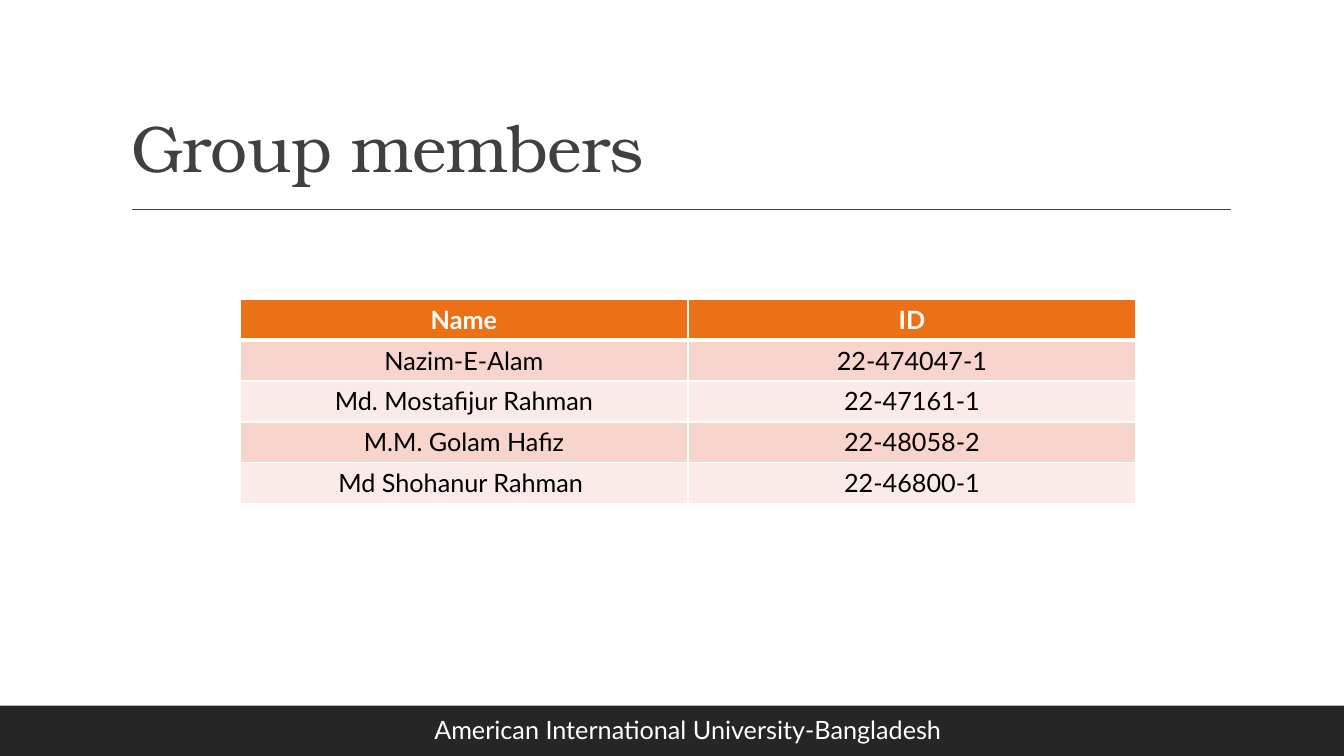
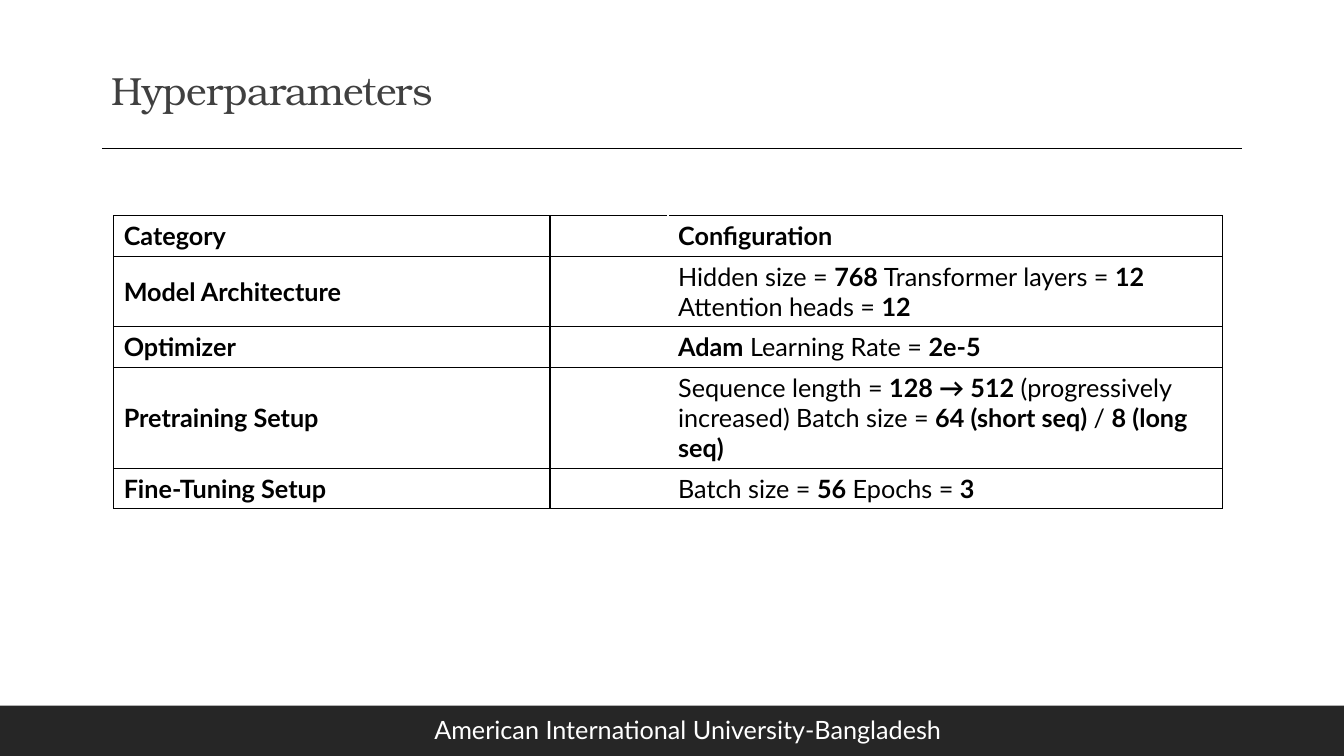
from dataclasses import dataclass
from lxml.etree import SubElement
from pptx import Presentation
from pptx.dml.color import RGBColor as RGB
from pptx.enum.shapes import MSO_CONNECTOR as Link, MSO_SHAPE as Shape
from pptx.enum.text import MSO_ANCHOR as Anchor, MSO_AUTO_SIZE as Fit, PP_ALIGN as Align
from pptx.oxml.ns import qn
from pptx.util import Pt

# Content: text between asterisks is bold
FOOTER = "American International University-Bangladesh"
MEMBERS = [
    ("*Name*", "*ID*"),
    ("Nazim-E-Alam", "22-474047-1"),
    ("Md. Mostafijur Rahman", "22-47161-1"),
    ("M.M. Golam Hafiz", "22-48058-2"),
    ("Md Shohanur Rahman ", "22-46800-1"),
]
PARAMS = [
    ("*Category*", "*Configuration*"),
    ("*Model Architecture*",
     "Hidden size = *768* Transformer layers = *12* Attention heads = *12*"),
    ("*Optimizer*", "*Adam* Learning Rate = *2e-5*"),
    ("*Pretraining Setup*",
     "Sequence length = *128 → 512* (progressively increased) "
     "Batch size = *64 (short seq)* / *8 (long seq)*"),
    ("*Fine-Tuning Setup*", "Batch size = *56* Epochs = *3*"),
]


@dataclass(frozen=True)
class Theme:
    serif: str = "TeX Gyre Bonum"
    sans: str = "Lato"
    white: str = "FFFFFF"
    black: str = "000000"
    band: str = "262626"
    gray: str = "404040"
    accent: str = "EC7016"
    tints: tuple = ("FBEBE8", "F8D5CC")
    large: float = 47
    small: float = 28
    body: float = 18


T = Theme()
WIDE, HIGH = 960, 540


def style(para, face, size, color, align=Align.LEFT):
    para.alignment = align
    font = para.font
    font.name, font.size = face, Pt(size)
    font.color.rgb = RGB.from_string(color)


def line(slide, x1, y1, x2, y2, color):
    rule = slide.shapes.add_connector(Link.STRAIGHT, Pt(x1), Pt(y1), Pt(x2), Pt(y2))
    rule.line.color.rgb = RGB.from_string(color)
    rule.line.width = Pt(1)
    SubElement(rule._element.spPr, qn("a:effectLst"))


def start(deck, text, left, top, size):
    """Add a slide with the shared band, footer and title."""
    slide = deck.slides.add_slide(deck.slide_layouts[5])
    band = slide.shapes.add_shape(Shape.RECTANGLE, 0, Pt(504), Pt(WIDE), Pt(36))
    band.shadow.inherit = False
    band.fill.solid()
    band.fill.fore_color.rgb = RGB.from_string(T.band)
    band.line.fill.background()

    foot = slide.shapes.add_textbox(Pt(251.3), Pt(507), Pt(480), Pt(29)).text_frame
    foot.word_wrap = True
    foot.text = FOOTER
    style(foot.paragraphs[0], T.sans, T.body, T.white, Align.CENTER)

    title = slide.shapes.title
    title.left, title.top, title.width, title.height = map(Pt, (left, top, 792, 114.5))
    frame = title.text_frame
    frame.text = text
    frame.auto_size, frame.vertical_anchor = Fit.NONE, Anchor.BOTTOM
    para = frame.paragraphs[0]
    para.line_spacing = 0.9
    style(para, T.serif, size, T.gray)
    para._p.pPr.find(qn("a:defRPr")).set("spc", "-50")
    return slide


def edge(cell, sides, color):
    """Draw cell borders; sides maps L, R, T, B to widths in points."""
    props = cell._tc.get_or_add_tcPr()
    for side in "LRTB":
        if side in sides:
            ln = SubElement(props, qn("a:ln" + side), w=str(Pt(sides[side])))
            fill = SubElement(ln, qn("a:solidFill"))
            SubElement(fill, qn("a:srgbClr"), val=color)


def table(slide, rows, left, top, width, highs, look):
    """Fill a table; look(row, col) gives fill, ink, border, sides, align, anchor."""
    cols = len(rows[0])
    grid = slide.shapes.add_table(len(rows), cols, Pt(left), Pt(top),
                                  Pt(width), Pt(sum(highs))).table
    grid.first_row = grid.horz_banding = False
    for r, (row, high) in enumerate(zip(rows, highs)):
        grid.rows[r].height = Pt(high)
        for c, text in enumerate(row):
            cell = grid.cell(r, c)
            fill, ink, border, sides, align, anchor = look(r, c)
            edge(cell, sides, border)
            cell.fill.solid()
            cell.fill.fore_color.rgb = RGB.from_string(fill)
            cell.vertical_anchor = anchor
            para = cell.text_frame.paragraphs[0]
            for i, part in enumerate(text.split("*")):
                if part:
                    run = para.add_run()
                    run.text = part
                    run.font.bold = i % 2 == 1
            style(para, T.sans, T.body, ink, align)


def banded(r, c):
    sides = dict(L=1, R=1, T=3 if r == 1 else 1, B=3 if r == 0 else 1)
    fill, ink = (T.tints[r % 2], T.black) if r else (T.accent, T.white)
    return fill, ink, T.white, sides, Align.CENTER, Anchor.TOP


def ruled(r, c):
    sides = {"T": 1, "B": 1, "LR"[c]: 1}
    return T.white, T.black, T.black, sides, Align.LEFT, Anchor.MIDDLE


def main():
    deck = Presentation()
    deck.slide_width, deck.slide_height = Pt(WIDE), Pt(HIGH)

    # Group members
    slide = start(deck, "Group members", 86.4, 22.3, T.large)
    line(slide, 94.3, 149.5, 879, 149.5, T.gray)
    table(slide, MEMBERS, 171.4, 213.8, 640, [29.2] * len(MEMBERS), banded)

    # Hyperparameters, with a divider left of the middle
    slide = start(deck, "Hyperparameters", 72.7, -29.5, T.small)
    line(slide, 72.7, 106, 887, 106, T.black)
    top, highs = 154, [29, 50, 29, 72, 29]
    table(slide, PARAMS, 81.2, top, 792, highs, ruled)
    line(slide, 393, top, 393, top + sum(highs), T.black)

    deck.save("out.pptx")


if __name__ == "__main__":
    main()
